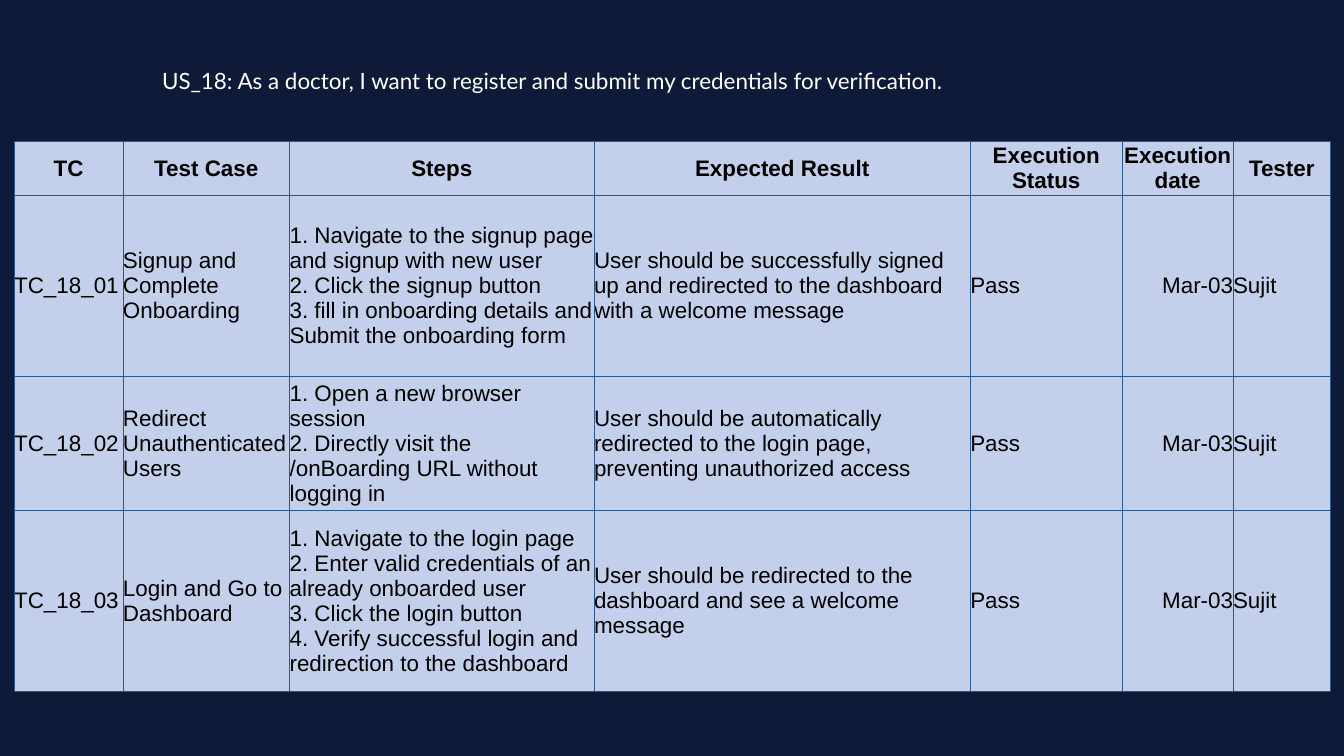
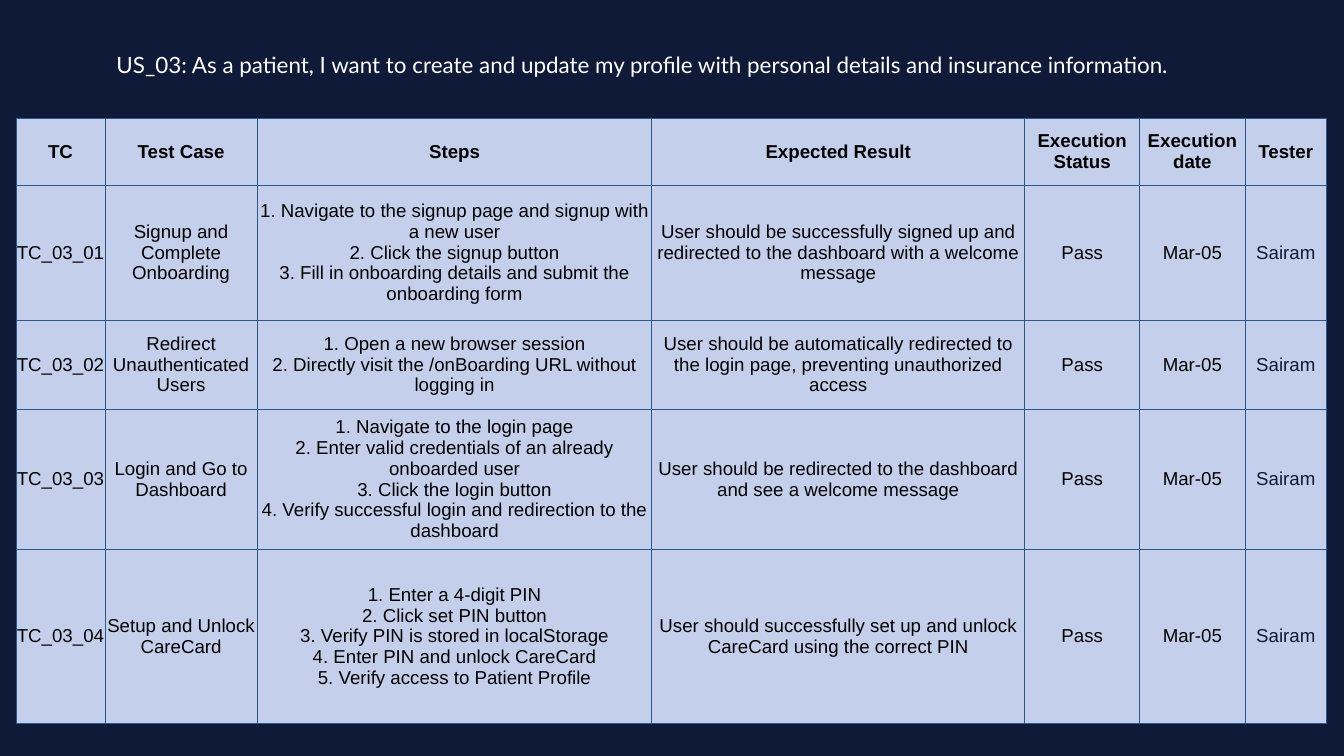
from lxml.etree import SubElement
from pptx import Presentation
from pptx.dml.color import RGBColor
from pptx.enum.text import MSO_ANCHOR, PP_ALIGN
from pptx.oxml.ns import qn
from pptx.util import Inches, Pt

NAVY, PERIWINKLE, EDGE = "0F1A38", "C4CFEB", "2A598E"
BLACK, WHITE = "000000", "FFFFFF"
LEFT, CENTER, RIGHT = PP_ALIGN.LEFT, PP_ALIGN.CENTER, PP_ALIGN.RIGHT

HEADINGS = ["TC", "Test Case", "Steps", "Expected Result",
            "Execution Status", "Execution date", "Tester"]
SIGNUP = ("Signup and Complete Onboarding",
          "User should be successfully signed up and redirected to the dashboard "
          "with a welcome message")
REDIRECT = ("Redirect Unauthenticated Users",
            "User should be automatically redirected to the login page, "
            "preventing unauthorized access")
LOGIN = ("Login and Go to Dashboard",
         "User should be redirected to the dashboard and see a welcome message")
UNLOCK = ("Setup and Unlock CareCard",
          "User should successfully set up and unlock CareCard using the correct PIN")
REDIRECT_STEPS = ["Open a new browser session",
                  "Directly visit the /onBoarding URL without logging in"]
LOGIN_STEPS = ["Navigate to the login page",
               "Enter valid credentials of an already onboarded user",
               "Click the login button",
               "Verify successful login and redirection to the dashboard"]
DOCTOR_CASES = [
    (SIGNUP, ["Navigate to the signup page and signup with new user",
              "Click the signup button",
              "fill in onboarding details and Submit the onboarding form"]),
    (REDIRECT, REDIRECT_STEPS),
    (LOGIN, LOGIN_STEPS),
]
PATIENT_CASES = [
    (SIGNUP, ["Navigate to the signup page and signup with a new user",
              "Click the signup button",
              "Fill in onboarding details and submit the onboarding form"]),
    (REDIRECT, REDIRECT_STEPS),
    (LOGIN, LOGIN_STEPS),
    (UNLOCK, ["Enter a 4-digit PIN", "Click set PIN button",
              "Verify PIN is stored in localStorage",
              "Enter PIN and unlock CareCard",
              "Verify access to Patient Profile"]),
]


def rgb(value):
    """Turn a hex string into a colour."""
    return RGBColor.from_string(value)


def write(frame, text, size=24, font="Arial", color=BLACK, bold=False, align=CENTER):
    """Fill a text frame with one formatted paragraph."""
    frame.word_wrap = True
    paragraph = frame.paragraphs[0]
    paragraph.text = text
    paragraph.alignment = align
    for run in paragraph.runs:
        run.font.size = Pt(size)
        run.font.name = font
        run.font.bold = bold
        run.font.color.rgb = rgb(color)


def case_rows(story, cases, date, tester):
    """List the table rows of one user story."""
    rows = []
    for number, ((name, expected), steps) in enumerate(cases, 1):
        numbered = "\n".join(f"{i}. {step}" for i, step in enumerate(steps, 1))
        rows.append([f"TC_{story}_{number:02}", name, numbered, expected,
                     "Pass", date, tester])
    return rows


class TestReport:
    """Holds the report style and the current slide."""

    def __init__(self):
        """Start an empty report."""
        self.deck = Presentation()
        self.deck.slide_width, self.deck.slide_height = Inches(20), Inches(11.25)
        self.slide = None

    def add_slide(self):
        """Open a navy slide."""
        self.slide = self.deck.slides.add_slide(self.deck.slide_layouts[6])
        fill = self.slide.background.fill
        fill.solid()
        fill.fore_color.rgb = rgb(NAVY)

    def story(self, text, left, top, width, height):
        """Place the user story above the table."""
        box = self.slide.shapes.add_textbox(*map(Inches, (left, top, width, height)))
        frame = box.text_frame
        frame.vertical_anchor = MSO_ANCHOR.MIDDLE
        frame.margin_bottom = Inches(0.45)
        write(frame, text, font="Lato", color=WHITE)

    def style_cell(self, cell):
        """Give a cell its borders, fill and zero margins."""
        properties = cell._tc.get_or_add_tcPr()
        for side in ("a:lnL", "a:lnR", "a:lnT", "a:lnB"):
            line = SubElement(properties, qn(side), w=str(Pt(0.75)))
            SubElement(SubElement(line, qn("a:solidFill")), qn("a:srgbClr"), val=EDGE)
        cell.fill.solid()
        cell.fill.fore_color.rgb = rgb(PERIWINKLE)
        cell.vertical_anchor = MSO_ANCHOR.MIDDLE
        cell.margin_left = cell.margin_right = cell.margin_top = cell.margin_bottom = 0

    def test_table(self, left, top, widths, heights, rows, size, aligns, tester_color):
        """Draw the test cases under their headings."""
        table = self.slide.shapes.add_table(
            len(heights), len(widths), Inches(left), Inches(top),
            Inches(sum(widths)), Inches(sum(heights))).table
        table.horz_banding = False
        for column, width in zip(table.columns, widths):
            column.width = Inches(width)
        for row, height in zip(table.rows, heights):
            row.height = Inches(height)
        for r, texts in enumerate([HEADINGS] + rows):
            heading = r == 0
            for c, text in enumerate(texts):
                cell = table.cell(r, c)
                self.style_cell(cell)
                is_tester = HEADINGS[c] == "Tester" and not heading
                write(cell.text_frame, text, size=size, bold=heading,
                      color=tester_color if is_tester else BLACK,
                      align=CENTER if heading else aligns[c])


def main():
    """Build both test reports."""
    report = TestReport()

    report.add_slide()
    report.story("US_18: As a doctor, I want to register and submit my credentials "
                 "for verification.", -0.09, 1.09, 16.61, 0.62)
    report.test_table(0.21, 2.11, [1.62, 2.48, 4.53, 5.6, 2.26, 1.65, 1.45],
                      [0.8, 2.69, 2, 2.69],
                      case_rows("18", DOCTOR_CASES, "Mar-03", "Sujit"),
                      size=24, aligns=[LEFT] * 5 + [RIGHT, LEFT], tester_color=BLACK)

    report.add_slide()
    report.story("US_03: As a patient, I want to create and update my profile with "
                 "personal details and insurance information.", 0.37, 0.36, 18.37, 1.61)
    report.test_table(0.24, 1.76, [1.32, 2.27, 5.87, 5.55, 1.71, 1.57, 1.21],
                      [1, 2, 1.33, 2.08, 2.6],
                      case_rows("03", PATIENT_CASES, "Mar-05", "Sairam"),
                      size=20, aligns=[CENTER] * 7, tester_color=NAVY)

    report.deck.save("out.pptx")


if __name__ == "__main__":
    main()
